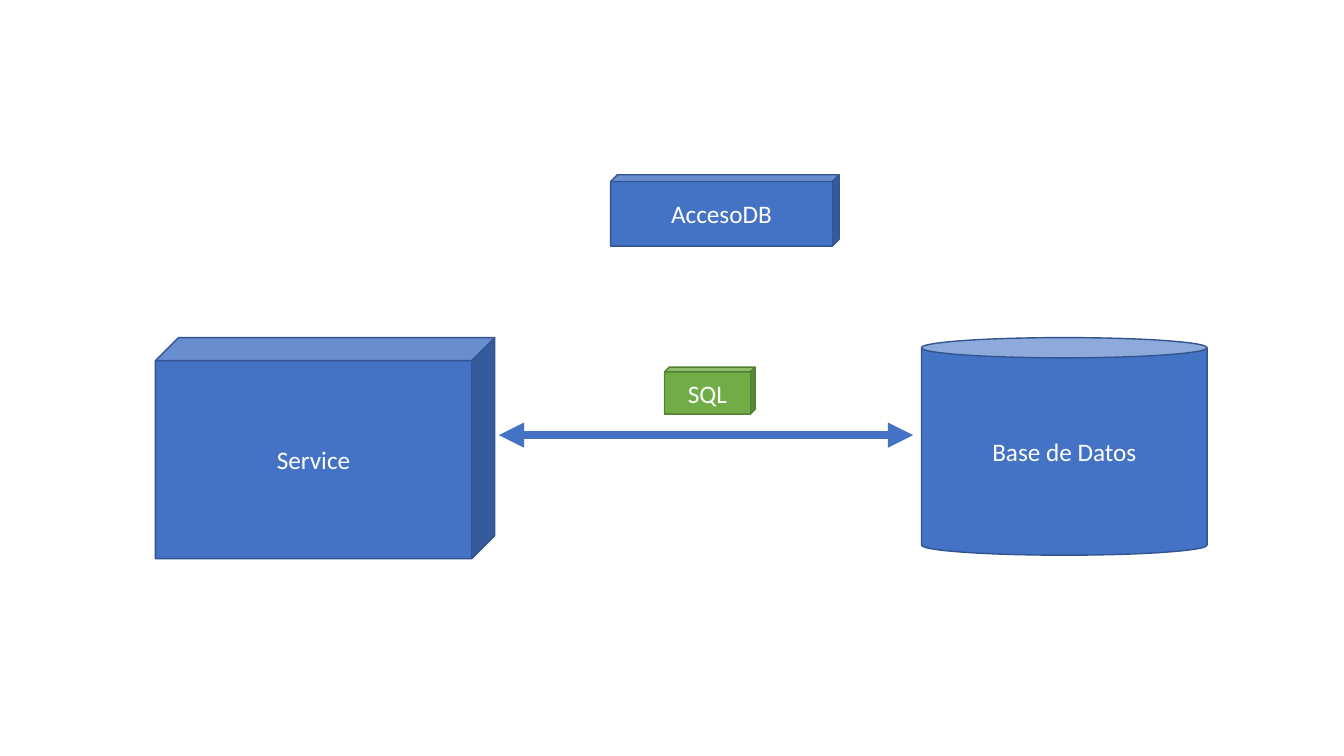
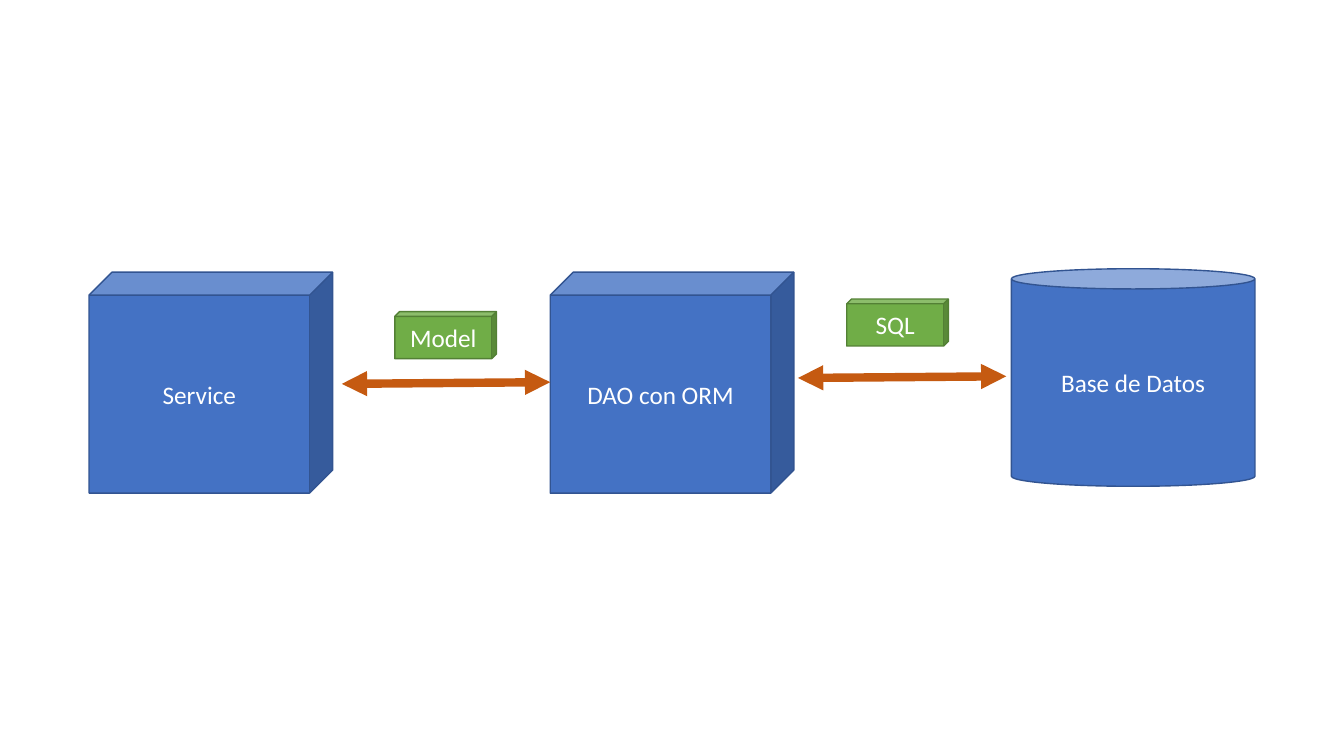
from dataclasses import dataclass

from lxml import etree
from pptx import Presentation
from pptx import util as u
from pptx.dml.color import RGBColor
from pptx.enum import shapes, text
from pptx.oxml import ns

COLUMNS, ROWS = 16, 9


@dataclass(frozen=True)
class Theme:
    font: str = "Calibri"
    text_size: int = 18
    outline_width: int = 1
    arrow_width: int = 6
    white: str = "FFFFFF"
    blue: str = "4472C4"
    dark_blue: str = "325491"
    green: str = "70AD47"
    dark_green: str = "538035"
    orange: str = "C55A11"


THEME = Theme()


def write_text(shape, words, *, size=THEME.text_size, color=THEME.white,
               font=THEME.font, align=text.PP_ALIGN.CENTER):
    frame = shape.text_frame
    frame.word_wrap = True
    frame.vertical_anchor = text.MSO_ANCHOR.MIDDLE
    paragraph = frame.paragraphs[0]
    paragraph.alignment = align
    run = paragraph.add_run()
    run.text = words
    run.font.name = font
    run.font.size = u.Pt(size)
    run.font.color.rgb = RGBColor.from_string(color)


class Diagram:
    """Draws on the current slide; lengths are columns and rows of the grid."""

    def __init__(self, theme):
        self.theme = theme
        self.presentation = Presentation()
        self.presentation.slide_width = u.Inches(13.33)
        self.presentation.slide_height = u.Inches(7.5)
        self.slide = None

    def new_slide(self):
        blank = self.presentation.slide_layouts.get_by_name("Blank")
        self.slide = self.presentation.slides.add_slide(blank)

    def across(self, columns):
        return round(self.presentation.slide_width * columns / COLUMNS)

    def down(self, rows):
        return round(self.presentation.slide_height * rows / ROWS)

    def solid(self, kind, words, left, top, width, height, *, depth, fill, outline):
        """Add a cube or can; depth is the share taken by its top face."""
        shape = self.slide.shapes.add_shape(
            kind, self.across(left), self.down(top),
            self.across(width), self.down(height))
        shape.adjustments[0] = depth
        shape.shadow.inherit = False
        shape.fill.solid()
        shape.fill.fore_color.rgb = RGBColor.from_string(fill)
        shape.line.color.rgb = RGBColor.from_string(outline)
        shape.line.width = u.Pt(self.theme.outline_width)
        write_text(shape, words)

    def component(self, words, left, top, width, height=2.63, depth=0.104):
        self.solid(shapes.MSO_SHAPE.CUBE, words, left, top, width, height,
                   depth=depth, fill=self.theme.blue, outline=self.theme.dark_blue)

    def database(self, words, left, top, width):
        self.solid(shapes.MSO_SHAPE.CAN, words, left, top, width, 2.59,
                   depth=0.093, fill=self.theme.blue, outline=self.theme.dark_blue)

    def message(self, words, left, top, width):
        self.solid(shapes.MSO_SHAPE.CUBE, words, left, top, width, 0.56,
                   depth=0.101, fill=self.theme.green, outline=self.theme.dark_green)

    def exchange(self, start, end, color):
        """Add an arrow with a head at both ends."""
        arrow = self.slide.shapes.add_connector(
            shapes.MSO_CONNECTOR.STRAIGHT,
            self.across(start[0]), self.down(start[1]),
            self.across(end[0]), self.down(end[1]))
        arrow.line.color.rgb = RGBColor.from_string(color)
        arrow.line.width = u.Pt(self.theme.arrow_width)
        line = arrow.line._get_or_add_ln()
        for head in ("a:headEnd", "a:tailEnd"):
            etree.SubElement(line, ns.qn(head), type="triangle")
        etree.SubElement(arrow._element.spPr, ns.qn("a:effectLst"))


def draw_direct_access(diagram):
    top = 4.02
    diagram.new_slide()
    diagram.database("Base de Datos", 10.97, top, 3.4)
    diagram.component("Service", 1.85, top, 4.04)
    diagram.exchange((5.94, 5.18), (10.87, 5.18), diagram.theme.blue)
    diagram.message("SQL", 7.91, 4.37, 1.08)
    diagram.component("AccesoDB", 7.27, 2.08, 2.72, height=0.85, depth=0.095)


def draw_orm_access(diagram):
    width, pitch, top = 2.9, 5.49, 3.24
    service, dao, database = (1.06 + pitch * step for step in range(3))
    diagram.new_slide()
    diagram.database("Base de Datos", database, 3.2, width)
    diagram.component("Service", service, top, width)
    diagram.component("DAO con ORM", dao, top, width)
    for words, start, middle, label_left, label_top in (
            ("Model", 4.07, 4.56, 4.7, 3.71),
            ("SQL", 9.5, 4.49, 10.08, 3.56)):
        diagram.exchange((start, middle + 0.01), (start + 2.48, middle - 0.01),
                         diagram.theme.orange)
        diagram.message(words, label_left, label_top, 1.21)


def main():
    diagram = Diagram(THEME)
    draw_direct_access(diagram)
    draw_orm_access(diagram)
    diagram.presentation.save("out.pptx")


if __name__ == "__main__":
    main()
